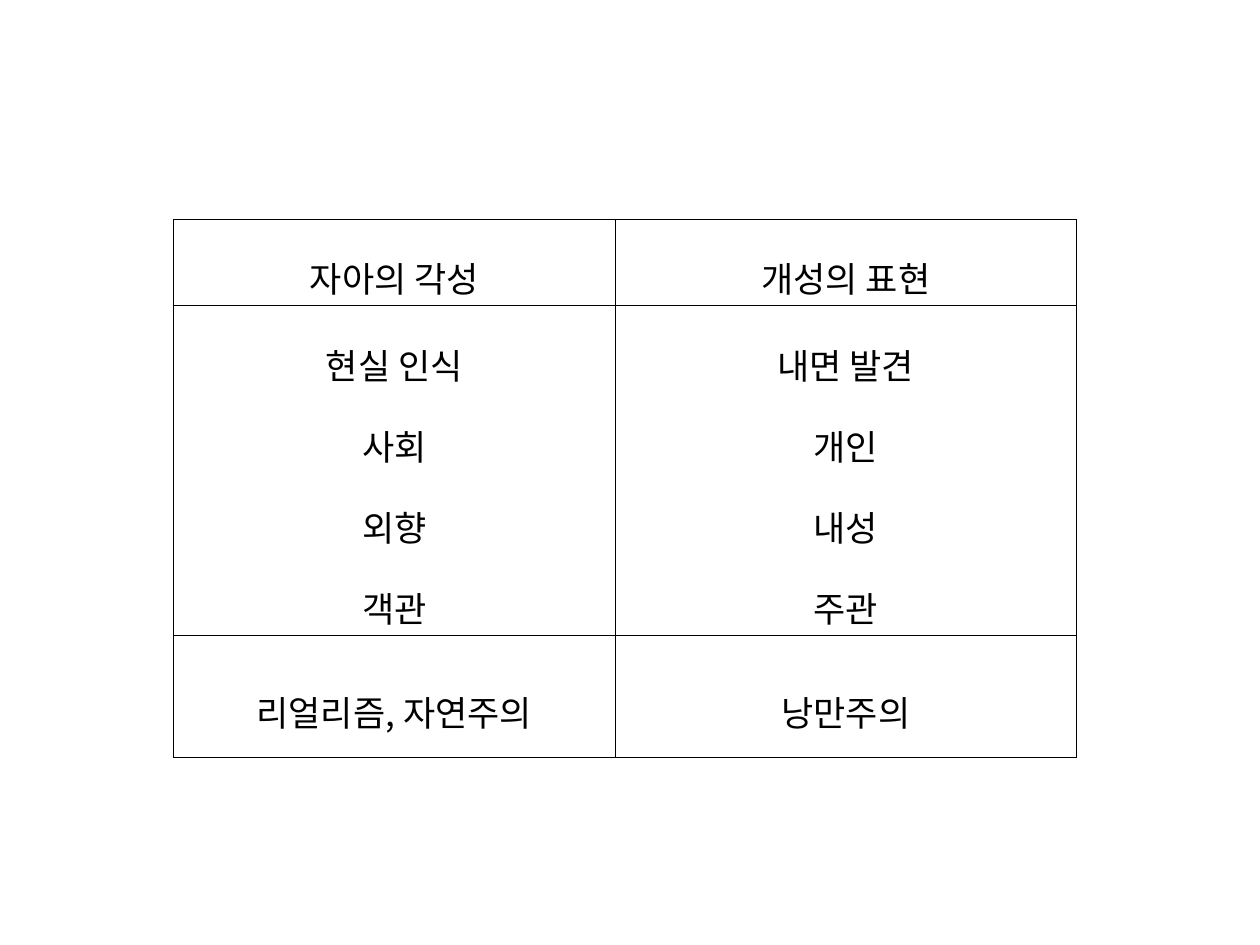
"""Build a slide with a two-column comparison of literary outlooks."""
import lxml.etree
import pptx
import pptx.dml.color
import pptx.enum.text
import pptx.oxml.ns
import pptx.util

Pt = pptx.util.Pt
BLACK = pptx.dml.color.RGBColor(0, 0, 0)
WHITE = pptx.dml.color.RGBColor(255, 255, 255)
FONT = "Noto Sans CJK KR"

ROWS = [
    (["자아의 각성"], ["개성의 표현"]),
    (["현실 인식", "사회", "외향", "객관"], ["내면 발견", "개인", "내성", "주관"]),
    (["리얼리즘, 자연주의"], ["낭만주의"]),
]
COLUMN_WIDTHS = [252.3, 263.7]
ROW_HEIGHTS = [43.2, 157, 69.8]
TABLE_LEFT, TABLE_TOP = 99.2, 125.3
BORDER_WIDTH = Pt(0.28)

CELL_FORMAT = {
    "vertical_anchor": pptx.enum.text.MSO_ANCHOR.MIDDLE,
    "margin_left": Pt(5.1),
    "margin_right": Pt(5.1),
    "margin_top": Pt(1.4),
    "margin_bottom": Pt(1.4),
}
PARAGRAPH_FORMAT = {"alignment": pptx.enum.text.PP_ALIGN.CENTER, "line_spacing": 1.6}
FONT_FORMAT = {"name": FONT, "size": Pt(20), "bold": False}
TABLE_FORMAT = {"first_row": False, "horz_banding": False}


def apply_format(target, values):
    """Set each named attribute on the target."""
    for name, value in values.items():
        setattr(target, name, value)


def add_borders(cell):
    """Draw a thin line on all four sides of the cell."""
    properties = cell._tc.get_or_add_tcPr()
    qualified = pptx.oxml.ns.qn
    for position, side in enumerate(("a:lnL", "a:lnR", "a:lnT", "a:lnB")):
        line = lxml.etree.Element(qualified(side), w=str(BORDER_WIDTH))
        fill = lxml.etree.SubElement(line, qualified("a:solidFill"))
        lxml.etree.SubElement(fill, qualified("a:srgbClr"), val=str(BLACK))
        properties.insert(position, line)


def fill_cell(cell, lines):
    """Write the lines into the cell and format it."""
    apply_format(cell, CELL_FORMAT)
    cell.fill.solid()
    cell.fill.fore_color.rgb = WHITE
    add_borders(cell)
    cell.text_frame.text = "\n".join(lines)
    for paragraph in cell.text_frame.paragraphs:
        apply_format(paragraph, PARAGRAPH_FORMAT)
        run = paragraph.runs[0]
        apply_format(run.font, FONT_FORMAT)
        run.font.color.rgb = BLACK
        lxml.etree.SubElement(
            run._r.get_or_add_rPr(), pptx.oxml.ns.qn("a:ea"), typeface=FONT
        )


presentation = pptx.Presentation()
presentation.slide_width, presentation.slide_height = Pt(720), Pt(540)
slide = presentation.slides.add_slide(presentation.slide_layouts[6])

table = slide.shapes.add_table(
    len(ROW_HEIGHTS), len(COLUMN_WIDTHS), Pt(TABLE_LEFT), Pt(TABLE_TOP),
    Pt(sum(COLUMN_WIDTHS)), Pt(sum(ROW_HEIGHTS)),
).table
apply_format(table, TABLE_FORMAT)
for column, width in zip(table.columns, COLUMN_WIDTHS):
    column.width = Pt(width)
for row, height, contents in zip(table.rows, ROW_HEIGHTS, ROWS):
    row.height = Pt(height)
    for cell, lines in zip(row.cells, contents):
        fill_cell(cell, lines)

presentation.save("out.pptx")
